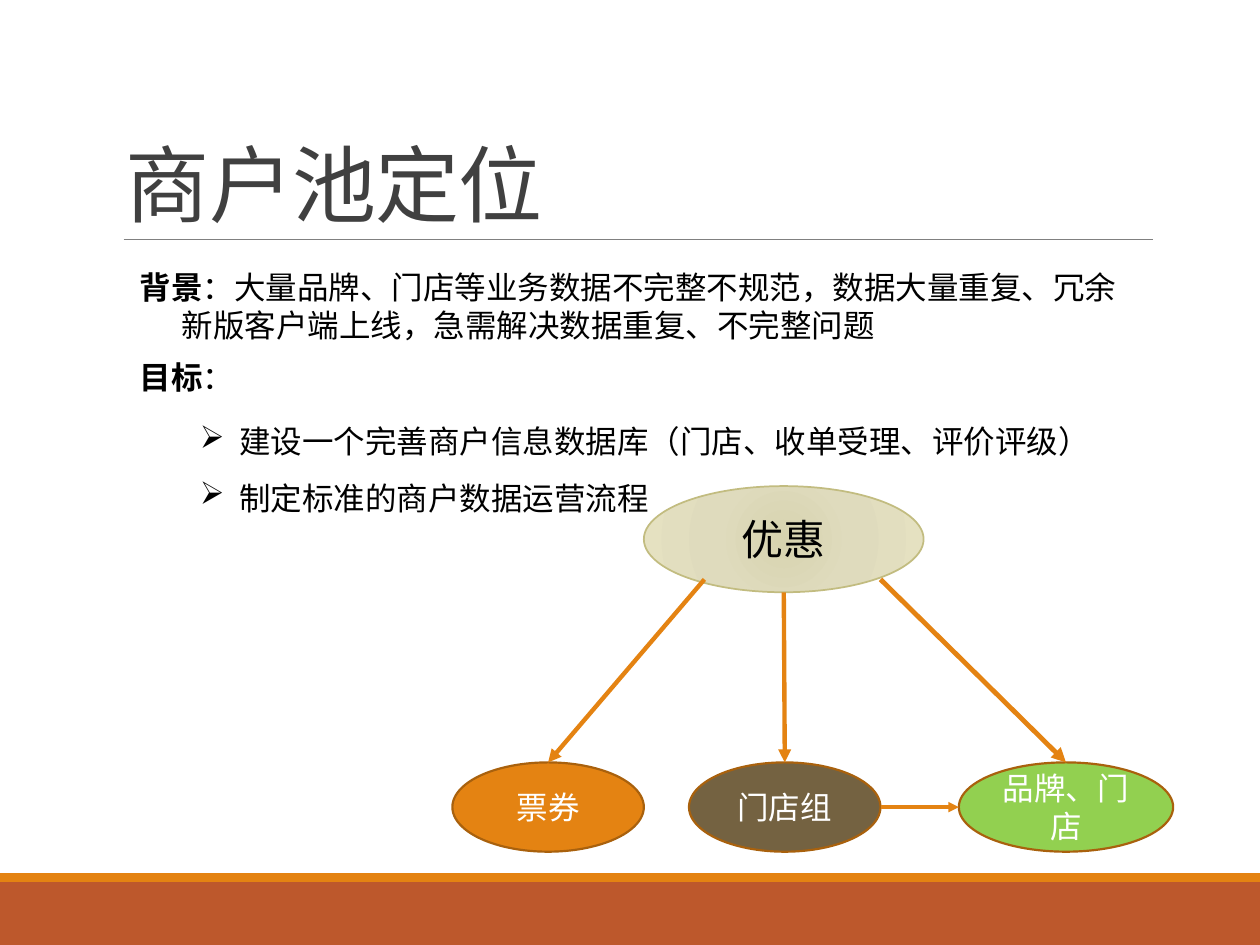
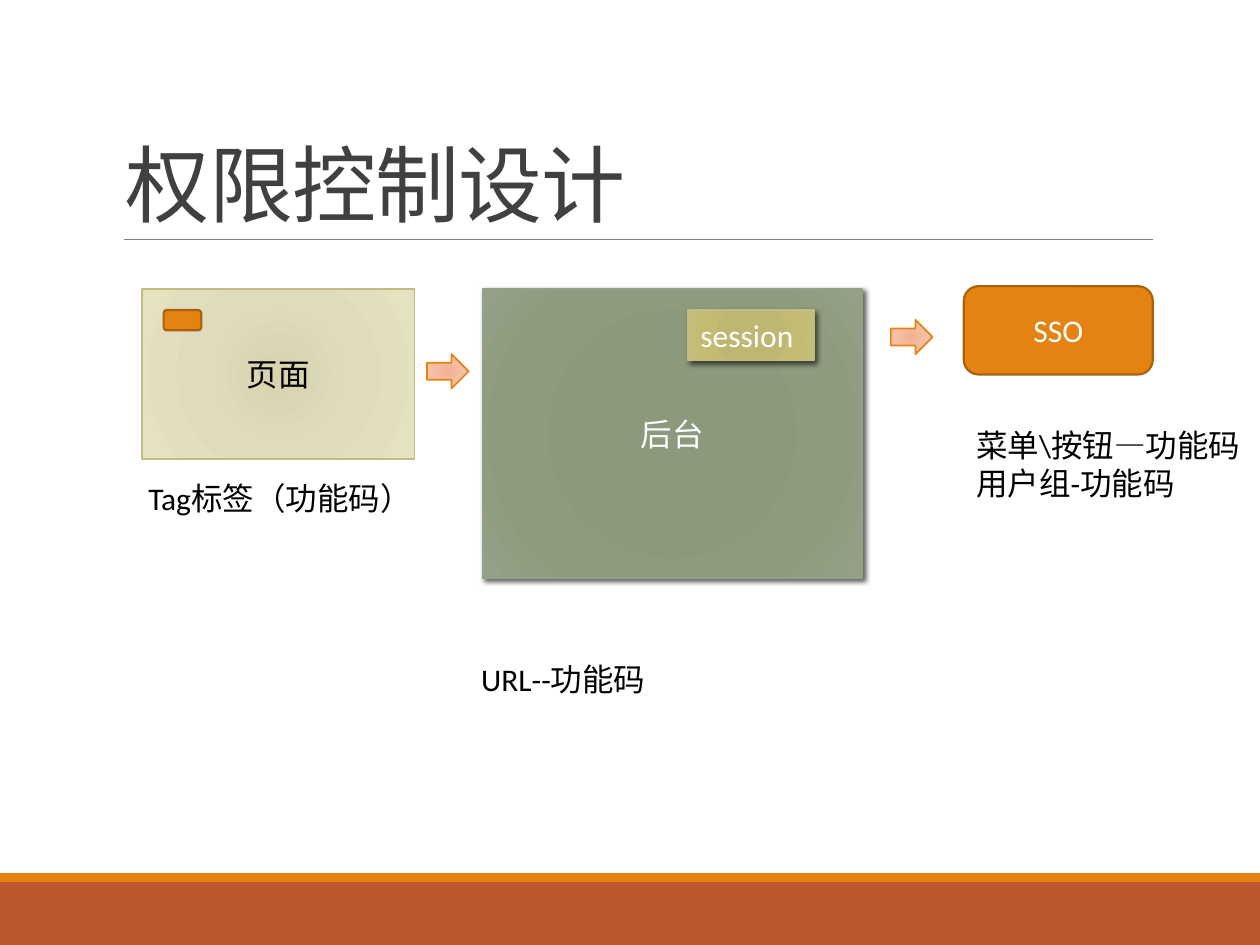
from dataclasses import dataclass

from lxml import etree
from pptx import Presentation
from pptx.dml.color import RGBColor
from pptx.enum.shapes import MSO_CONNECTOR, MSO_SHAPE
from pptx.enum.text import MSO_ANCHOR, PP_ALIGN
from pptx.oxml.ns import qn
from pptx.util import Cm, Pt

RECT = MSO_SHAPE.RECTANGLE
ROUND = MSO_SHAPE.ROUNDED_RECTANGLE
OVAL = MSO_SHAPE.OVAL
ARROW = MSO_SHAPE.RIGHT_ARROW
LINE = MSO_CONNECTOR.STRAIGHT
LEFT = PP_ALIGN.LEFT
MID = PP_ALIGN.CENTER
CENTER = MSO_ANCHOR.MIDDLE
BOTTOM = MSO_ANCHOR.BOTTOM


@dataclass(frozen=True)
class Theme:
    font: str = "Calibri"
    asian: str = "Noto Sans CJK SC"
    head: int = 48
    large: int = 24
    body: int = 18
    black: str = "000000"
    white: str = "FFFFFF"
    title: str = "404040"
    rule: str = "808080"
    rust: str = "BD582C"
    orange: str = "E48312"
    edge: str = "A9610D"
    brown: str = "746241"
    green: str = "92D050"
    tan: str = "C2BC80"
    moss: str = "94A088"
    cream: tuple = ((0, "D7D3AF"), (45, "DFDBBD"), (100, "E5E1C1"))
    sage: tuple = ((0, "8A987B"), (34, "8B997D"), (70, "8D9C7E"), (100, "94A187"))
    peach: tuple = ((0, "F0B191"), (45, "F5BEA4"), (100, "FDC3A8"))
    olive: tuple = ((0, "BEB76E"), (34, "BEB771"), (70, "C3BB71"), (100, "C5BF7D"))


theme = Theme()


def write(frame, rows, color=theme.black, size=theme.body, align=LEFT, space=1):
    frame.word_wrap = True
    for i, row in enumerate(rows):
        para = frame.paragraphs[0] if i == 0 else frame.add_paragraph()
        para.alignment = align
        para.line_spacing = space
        for text, bold in row:
            run = para.add_run()
            run.text = text
            run.font.size = Pt(size)
            run.font.bold = bold
            run.font.color.rgb = RGBColor.from_string(color)
            run.font.name = theme.font
            etree.SubElement(run.font._element, qn("a:ea"), typeface=theme.asian)


def draw(slide, kind, box, fill, edge=None, width=1, shade=False):
    shape = slide.shapes.add_shape(kind, *map(Cm, box))
    shape.shadow.inherit = False
    props = shape._element.spPr
    if isinstance(fill, str):
        shape.fill.solid()
        shape.fill.fore_color.rgb = RGBColor.from_string(fill)
    else:
        shape.fill.background()
        grad = etree.Element(qn("a:gradFill"), rotWithShape="1")
        stops = etree.SubElement(grad, qn("a:gsLst"))
        for place, tone in fill:
            stop = etree.SubElement(stops, qn("a:gs"), pos=str(place * 1000))
            etree.SubElement(stop, qn("a:srgbClr"), val=tone)
        ring = etree.SubElement(grad, qn("a:path"), path="circle")
        etree.SubElement(ring, qn("a:fillToRect"), dict.fromkeys("ltrb", "100000"))
        props.replace(props.find(qn("a:noFill")), grad)
    if edge:
        shape.line.color.rgb = RGBColor.from_string(edge)
        shape.line.width = Pt(width)
    else:
        shape.line.fill.background()
    if shade:
        cast = etree.SubElement(props.find(qn("a:effectLst")), qn("a:outerShdw"),
                                blurRad=str(Pt(3)), dist=str(Pt(2)), dir="2700000")
        tone = etree.SubElement(cast, qn("a:srgbClr"), val=theme.black)
        etree.SubElement(tone, qn("a:alpha"), val="60000")
    shape.text_frame.vertical_anchor = CENTER
    return shape


deck = Presentation()
deck.slide_width, deck.slide_height = Cm(25.4), Cm(19.05)

for title in ("商户池定位", "权限控制设计"):
    slide = deck.slides.add_slide(deck.slide_layouts[6])
    draw(slide, RECT, (0, 17.78, 25.4, 1.27), theme.rust)
    draw(slide, RECT, (0, 17.6, 25.4, 0.18), theme.orange)
    rule = slide.shapes.add_connector(LINE, Cm(2.49), Cm(4.83), Cm(23.24), Cm(4.83))
    rule.line.color.rgb = RGBColor.from_string(theme.rule)
    rule.line.width = Pt(0.5)
    etree.SubElement(rule._element.spPr, qn("a:effectLst"))
    frame = slide.shapes.add_textbox(Cm(2.29), Cm(0.79), Cm(20.96), Cm(4.04)).text_frame
    frame.vertical_anchor = BOTTOM
    write(frame, [[(title, False)]], theme.title, theme.head, space=0.85)
    frame.paragraphs[0].runs[0].font._element.set("spc", "-50")

pool, rights = deck.slides

offer = draw(pool, OVAL, (12.98, 9.8, 5.64, 2.14), theme.cream, theme.tan)
write(offer.text_frame, [[("优惠", False)]], size=theme.large, align=MID)

nodes = []
for text, left, width, fill in (
    ("票券", 9.12, 3.86, theme.orange),
    ("门店组", 13.89, 3.86, theme.brown),
    ("品牌、门店", 19.33, 4.32, theme.green),
):
    node = draw(pool, OVAL, (left, 15.37, width, 1.8), fill, theme.edge, 1.25)
    write(node.text_frame, [[(text, False)]], theme.white, align=MID)
    nodes.append(node)

ticket, group, brand = nodes
for start, end, width, goal in (
    ((15.8, 11.94), (15.82, 15.37), 2.5, group),
    ((14.2, 11.68), (11.05, 15.37), 2.5, ticket),
    ((17.75, 11.68), (21.49, 15.37), 2.75, brand),
    ((17.75, 16.27), (19.33, 16.27), 2, None),
):
    link = pool.shapes.add_connector(LINE, *map(Cm, start + end))
    if goal:
        link.end_connect(goal, 0)
    link.line.color.rgb = RGBColor.from_string(theme.orange)
    link.line.width = Pt(width)
    etree.SubElement(link.line._get_or_add_ln(), qn("a:tailEnd"), type="triangle")
    etree.SubElement(link._element.spPr, qn("a:effectLst"))

past = pool.shapes.add_textbox(Cm(2.57), Cm(5.28), Cm(20.4), Cm(1.8)).text_frame
write(past, [
    [("背景", True), ("：", False),
     ("大量品牌、门店等业务数据不完整不规范，数据大量重复、冗余", False)],
    [("新版客户端上线，急需解决数据重复、不完整问题", False)],
])
past.paragraphs[1]._p.get_or_add_pPr().set("marL", str(Cm(0.84)))

aim = pool.shapes.add_textbox(Cm(2.57), Cm(7.09), Cm(2.44), Cm(1.02)).text_frame
write(aim, [[("目标", True), ("：", False)]])

goals = pool.shapes.add_textbox(Cm(3.78), Cm(8), Cm(18.62), Cm(2.39)).text_frame
write(goals, [
    [("建设一个完善商户信息数据库（门店、收单受理、评价评级）", False)],
    [("制定标准的商户数据运营流程", False)],
], space=1.5)
for para in goals.paragraphs:
    props = para._p.get_or_add_pPr()
    props.set("marL", str(Cm(0.79)))
    props.set("indent", str(Cm(-0.79)))
    etree.SubElement(props, qn("a:buChar"), char="➢")

for kind, box, fill, edge, width, shade, text, color, align in (
    (RECT, (2.87, 5.82, 5.49, 3.43), theme.cream, theme.tan, 1, False,
     "页面", theme.black, MID),
    (ROUND, (3.3, 6.25, 0.76, 0.41), theme.orange, theme.edge, 1.25, False,
     None, None, None),
    (RECT, (9.73, 5.82, 7.65, 5.84), theme.sage, theme.moss, 1, True,
     "后台", theme.white, MID),
    (ROUND, (19.43, 5.77, 3.81, 1.78), theme.orange, theme.edge, 1.25, False,
     "SSO", theme.white, MID),
    (ARROW, (8.61, 7.14, 0.84, 0.69), theme.peach, theme.orange, 1, False,
     None, None, None),
    (ARROW, (17.96, 6.45, 0.84, 0.69), theme.peach, theme.orange, 1, False,
     None, None, None),
    (RECT, (13.87, 6.25, 2.54, 1.02), theme.olive, theme.tan, 1, True,
     "session", theme.white, LEFT),
):
    shape = draw(rights, kind, box, fill, edge, width, shade)
    if text:
        write(shape.text_frame, [[(text, False)]], color, align=align)

for box, lines in (
    ((19.43, 8.46, 5.84, 1.8), ("菜单\\按钮—功能码", "用户组-功能码")),
    ((2.74, 9.53, 5.87, 1.02), ("Tag标签（功能码）",)),
    ((9.45, 13.18, 6.63, 1.02), ("URL--功能码",)),
):
    frame = rights.shapes.add_textbox(*map(Cm, box)).text_frame
    write(frame, [[(line, False)] for line in lines])

deck.save("out.pptx")
